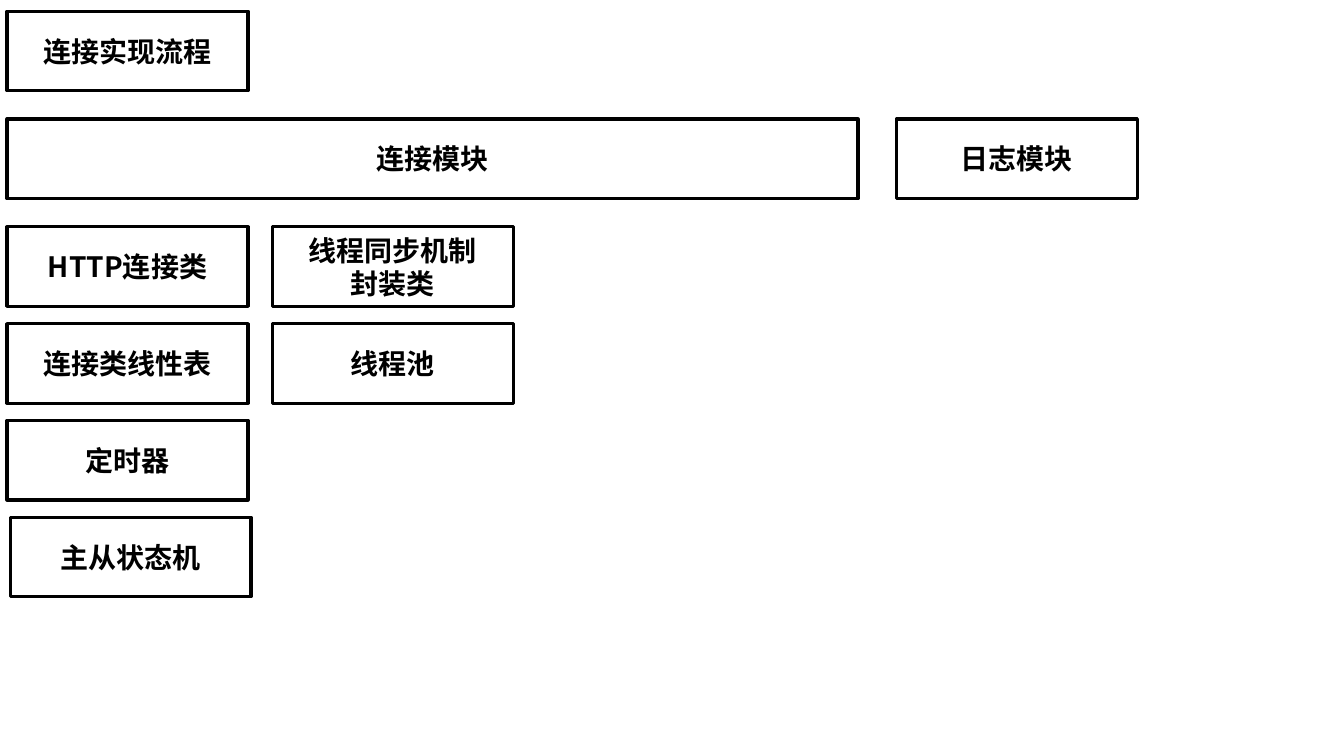
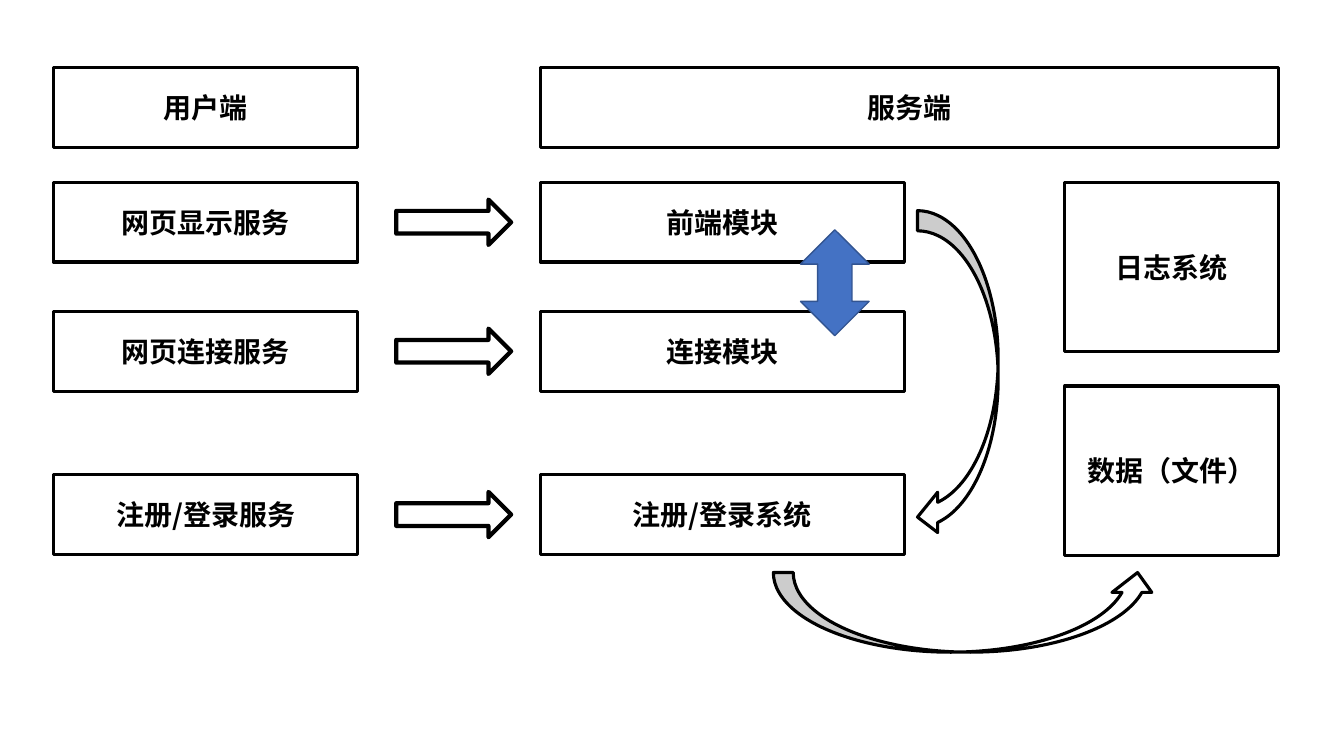
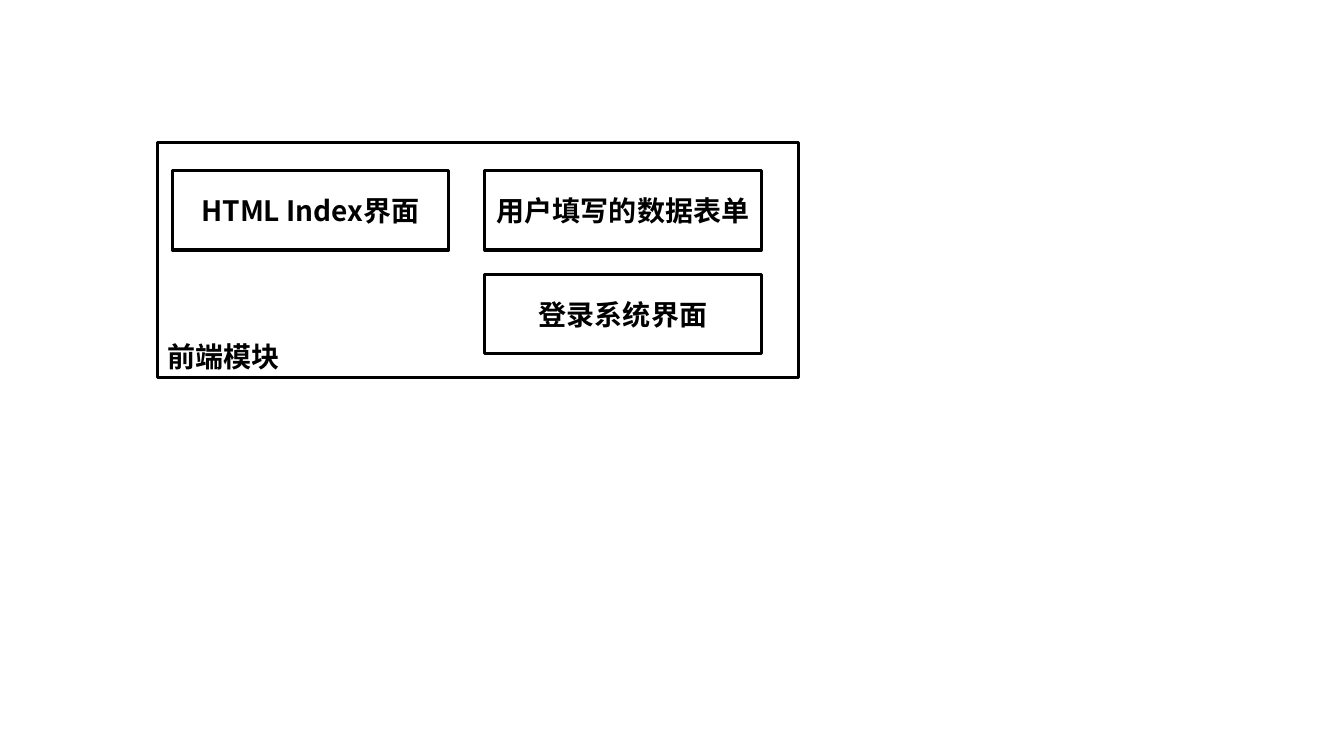
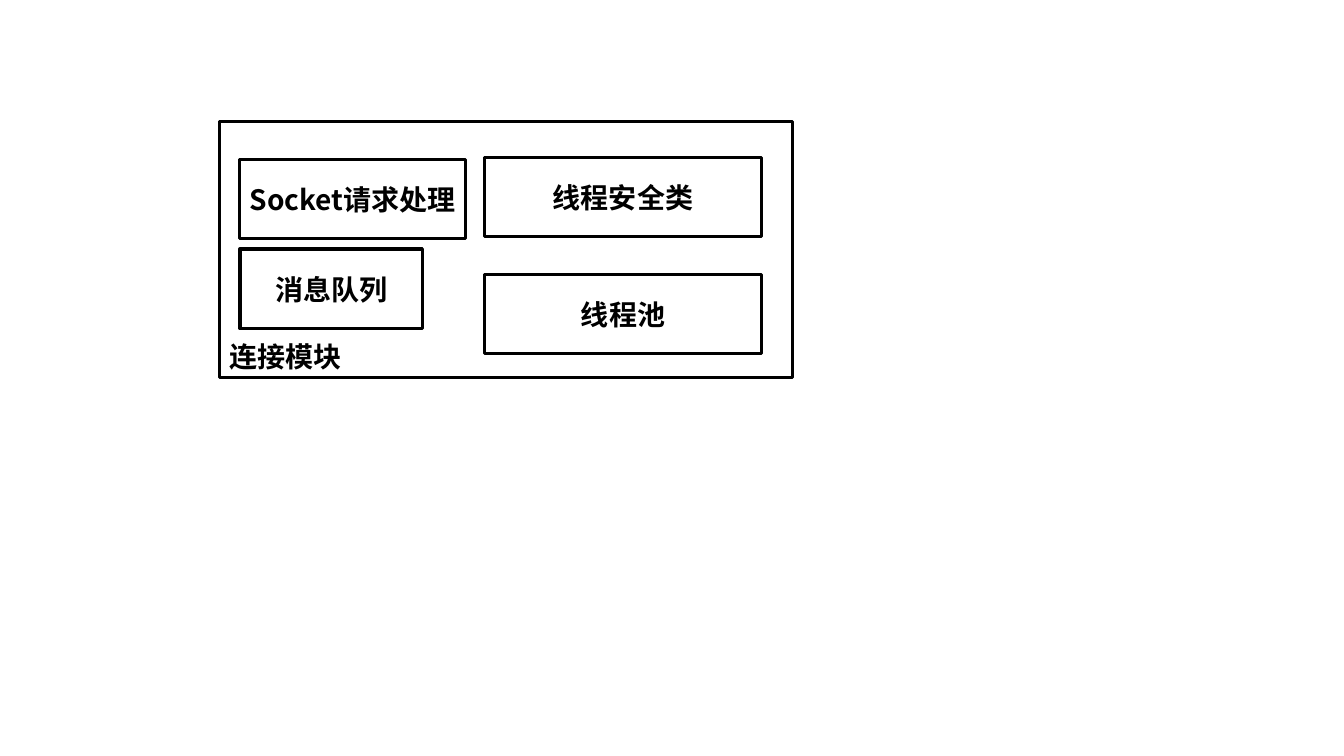
from lxml.etree import SubElement
from pptx import Presentation
from pptx.dml.color import RGBColor
from pptx.enum.shapes import MSO_SHAPE as Kind
from pptx.enum.text import MSO_ANCHOR as Anchor, PP_ALIGN as Align
from pptx.oxml.ns import qn
from pptx.util import Inches, Pt

# Shared style
BLACK = RGBColor(0x00, 0x00, 0x00)
WHITE = RGBColor(0xFF, 0xFF, 0xFF)
BLUE = RGBColor(0x44, 0x72, 0xC4)
NAVY = RGBColor(0x32, 0x54, 0x91)
FONT = "Noto Sans CJK SC"
HIGH = 0.79  # height of a standard box


def draw(slide, kind, x, y, w, h, fill=None, line=BLACK, width=2.25):
    shape = slide.shapes.add_shape(kind, Inches(x), Inches(y), Inches(w), Inches(h))
    shape.shadow.inherit = False
    if fill is None:
        shape.fill.background()
    else:
        shape.fill.solid()
        shape.fill.fore_color.rgb = fill
    shape.line.color.rgb = line
    shape.line.width = Pt(width)
    return shape


def box(slide, text, x, y, w, h=HIGH, align=Align.CENTER, anchor=Anchor.MIDDLE):
    frame = draw(slide, Kind.RECTANGLE, x, y, w, h).text_frame
    frame.text = text
    frame.word_wrap = True
    frame.vertical_anchor = anchor
    for para in frame.paragraphs:
        para.alignment = align
        for run in para.runs:
            font = run.font
            font.size = Pt(20)
            font.bold = True
            font.color.rgb = BLACK
            font.name = FONT
            SubElement(font._element, qn("a:ea"), typeface=FONT)


deck = Presentation()
deck.slide_width = Inches(13.33)
deck.slide_height = Inches(7.5)
flow, system, front, link = [deck.slides.add_slide(deck.slide_layouts[6]) for _ in range(4)]

# Slide 1: connection flow, with its classes in two columns
left, wide = 0.07, 2.39
box(flow, "连接实现流程", left, 0.11, wide)
box(flow, "连接模块", left, 1.18, 8.44)
box(flow, "日志模块", 8.89, 1.18, wide)
cols = [
    (left, ["HTTP连接类", "连接类线性表", "定时器"]),
    (2.7, ["线程同步机制\n封装类", "线程池"]),
]
top, step = 2.25, 0.96
for x, names in cols:
    for i, name in enumerate(names):
        box(flow, name, x, top + i * step, wide)
box(flow, "主从状态机", 0.1, top + 3 * step, wide)

# Slide 2: client services, each pointing to a server module
user, server, store = 0.53, 5.36, 10.56
box(system, "用户端", user, 0.67, 3.02)
box(system, "服务端", server, 0.67, 7.32)
rows = [
    (1.81, "网页显示服务", "前端模块"),
    (3.09, "网页连接服务", "连接模块"),
    (4.71, "注册/登录服务", "注册/登录系统"),
]
for y, need, module in rows:
    box(system, need, user, y, 3.02)
    box(system, module, server, y, 3.61)
    draw(system, Kind.RIGHT_ARROW, 3.93, y + 0.17, 1.14, 0.45, width=3)
for y, name in [(1.81, "日志系统"), (3.83, "数据（文件）")]:
    box(system, name, store, y, 2.12, 1.68)

# Arrows between the server modules
draw(system, Kind.UP_DOWN_ARROW, 7.94, 2.28, 0.68, 1.05, BLUE, NAVY, 1)
bend = draw(system, Kind.CURVED_DOWN_ARROW, 7.88, 3.31, 3.24, 0.8, WHITE)
bend.rotation = 90
draw(system, Kind.CURVED_UP_ARROW, 7.67, 5.68, 3.81, 0.79, WHITE)

# Slides 3 and 4: a labelled frame around the parts of one module
right, part = 4.81, 2.74
modules = [
    (front, "前端模块", (1.56, 1.41, 6.36, 2.34), [
        ("HTML Index界面", 1.71, 1.69, part),
        ("用户填写的数据表单", right, 1.69, part),
        ("登录系统界面", right, 2.72, part),
    ]),
    (link, "连接模块", (2.18, 1.21, 5.68, 2.54), [
        ("线程池", right, 2.72, part),
        ("线程安全类", right, 1.56, part),
        ("消息队列", 2.38, 2.47, 1.81),
        ("Socket请求处理", 2.38, 1.58, 2.24),
    ]),
]
for slide, title, area, parts in modules:
    box(slide, title, *area, align=Align.LEFT, anchor=Anchor.BOTTOM)
    for name, x, y, w in parts:
        box(slide, name, x, y, w)

deck.save("out.pptx")
